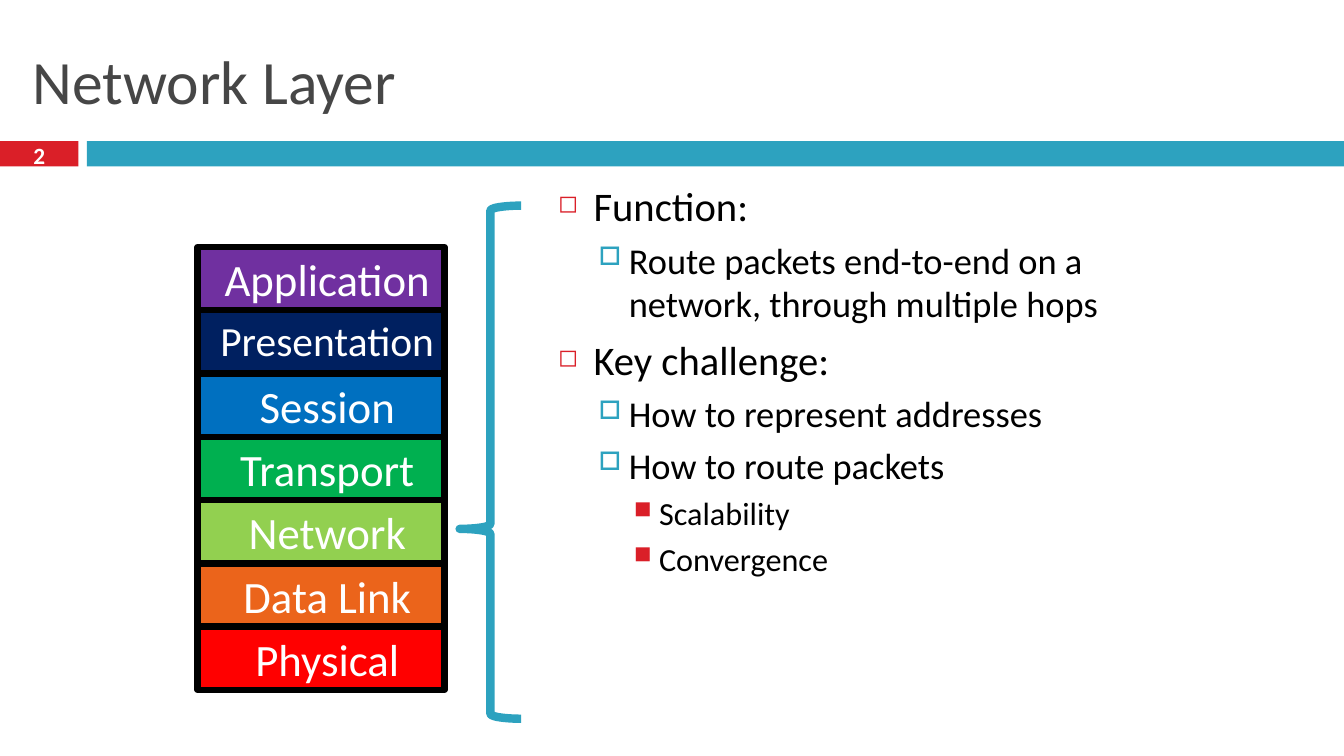
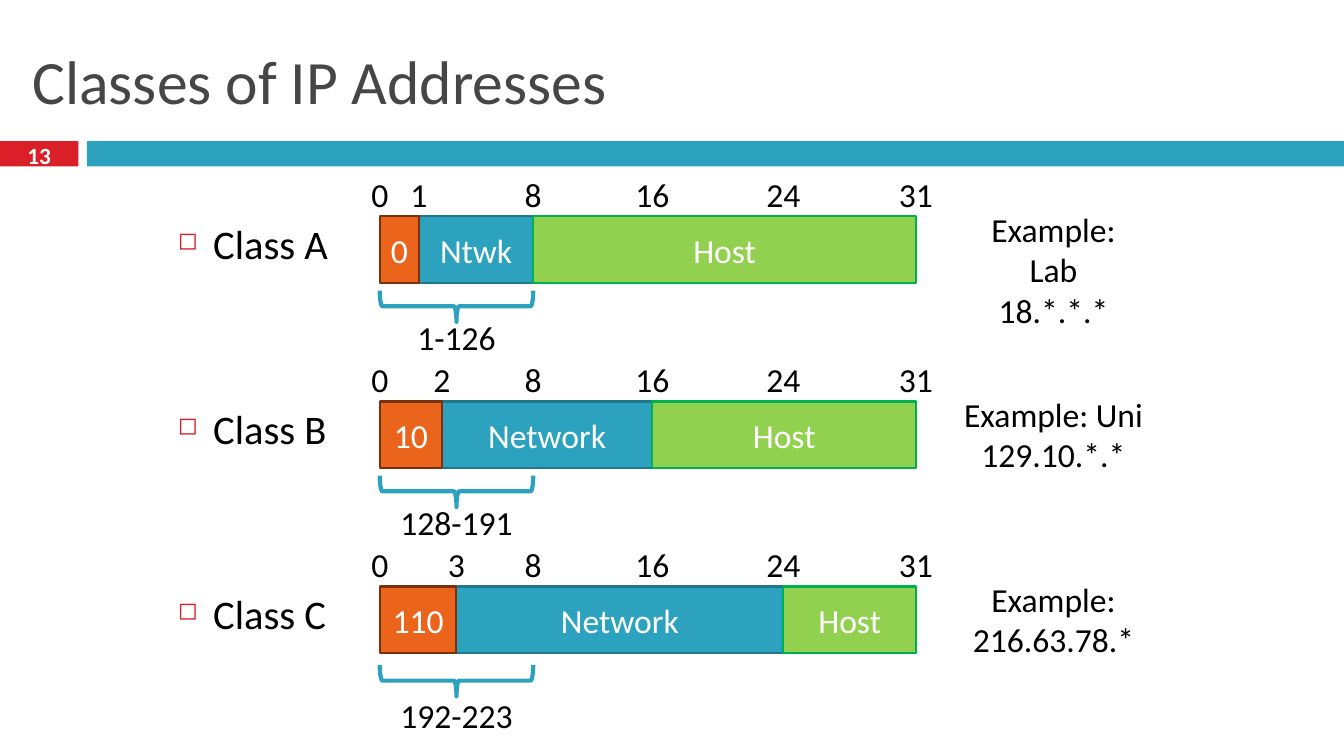
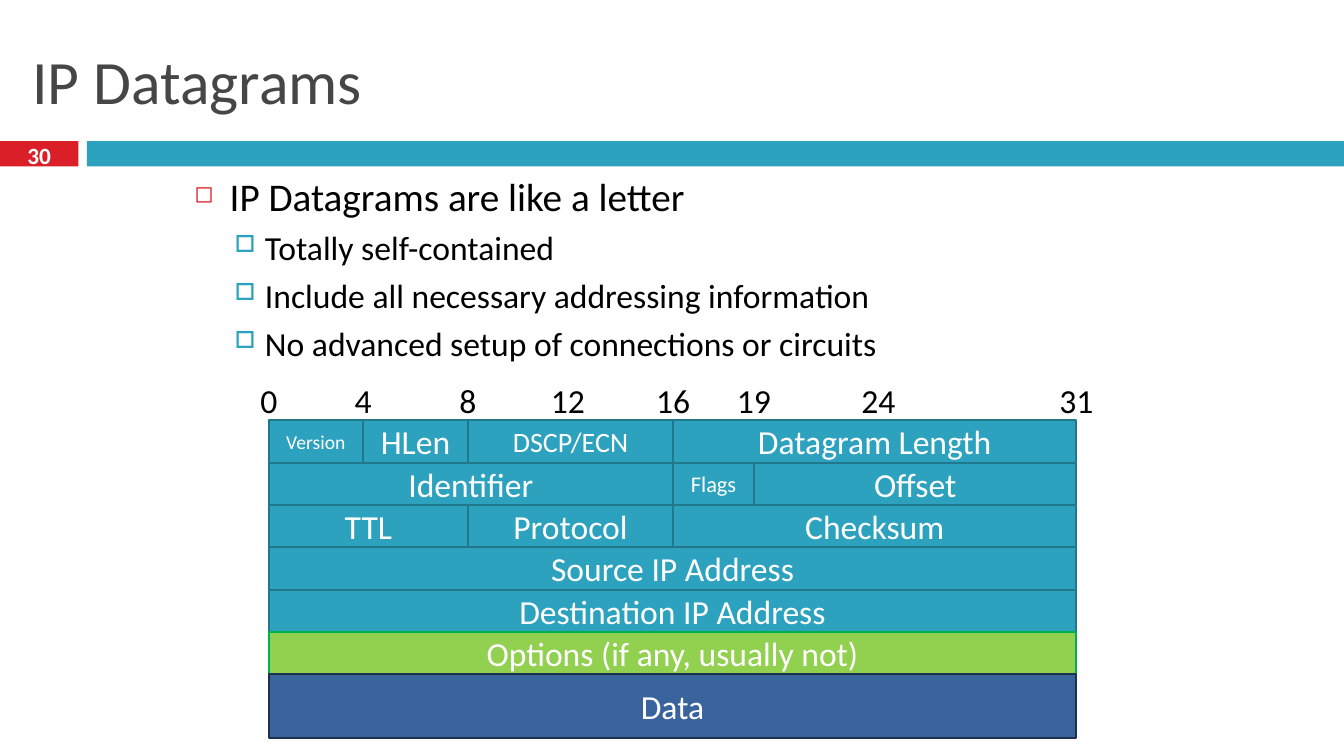
from dataclasses import dataclass

from lxml import etree
from pptx import Presentation
from pptx.dml.color import RGBColor
from pptx.enum import shapes, text
from pptx.oxml import ns
from pptx.util import Pt


@dataclass(frozen=True)
class Theme:
    font: str = "Calibri"
    title: str = "464646"
    body: str = "000000"
    light: str = "FFFFFF"
    red: str = "DA1F28"
    teal: str = "2DA2BF"
    # Fill, line and line width of a box
    teal_box: tuple = ("2DA2BF", "21788D", 1.5)
    green_box: tuple = ("92D050", "00B050", 1.5)
    orange_box: tuple = ("EB641B", "78310B", 1.5)
    blue_box: tuple = ("39639D", "1C314E", 1.5)
    layers: tuple = ("7030A0", "002060", "0070C0", "00B050", "92D050", "EB641B", "FF0000")
    layer_line: str = "000000"
    title_size: float = 44
    layer_size: float = 32
    long_layer_size: float = 29.6
    label_size: float = 24
    number_size: float = 16.6
    # Sizes of the outline levels
    outline: tuple = (29, 26, 23)
    small_outline: tuple = (28, 24)


THEME = Theme()
RECT = shapes.MSO_SHAPE.RECTANGLE
BRACE = shapes.MSO_SHAPE.LEFT_BRACE
MIDDLE = text.MSO_ANCHOR.MIDDLE
TOP = text.MSO_ANCHOR.TOP
# Left margin, hanging indent, space before, bullet, bullet colour, bullet percent
LEVELS = [
    (25.2, 25.2, 7, "◻", THEME.red, 60),
    (50.4, 21.6, 5.5, "□", THEME.teal, 70),
    (72, 18, 5, "■", THEME.red, 75),
]


def add_box(slide, frame, lines=(), box=(None, None, 0), kind=RECT,
            size=THEME.label_size, color=THEME.light, anchor=MIDDLE):
    """Add a preset shape with centred text; box is its fill, line and line width."""
    shape = slide.shapes.add_shape(kind, *map(Pt, frame))
    shape.shadow.inherit = False
    fill, line, weight = box
    for part, part_color in ((shape.fill, fill), (shape.line.fill, line)):
        if part_color:
            part.solid()
            part.fore_color.rgb = RGBColor.from_string(part_color)
        else:
            part.background()
    if line:
        shape.line.width = Pt(weight)
    if lines:
        shape.text_frame.text = "\n".join(lines)
        shape.text_frame.word_wrap = True
        shape.text_frame.vertical_anchor = anchor
        for paragraph in shape.text_frame.paragraphs:
            paragraph.alignment = text.PP_ALIGN.CENTER
            font = paragraph.runs[0].font
            font.name, font.size = THEME.font, Pt(size)
            font.color.rgb = RGBColor.from_string(color)
    return shape


def add_outline(slide, frame, items, sizes=THEME.outline):
    """Add a bulleted text box; items are (level, wording) pairs."""
    text_frame = slide.shapes.add_textbox(*map(Pt, frame)).text_frame
    text_frame.word_wrap = True
    text_frame.text = "\n".join(wording for level, wording in items)
    for paragraph, (level, wording) in zip(text_frame.paragraphs, items):
        margin, hanging, before, bullet, bullet_color, percent = LEVELS[level]
        paragraph.level = level
        paragraph.space_before = Pt(before)
        font = paragraph.runs[0].font
        font.name, font.size = THEME.font, Pt(sizes[level])
        font.color.rgb = RGBColor.from_string(THEME.body)
        properties = paragraph._p.get_or_add_pPr()
        properties.set("marL", str(Pt(margin)))
        properties.set("indent", str(-Pt(hanging)))
        bullet_fill = etree.SubElement(properties, ns.qn("a:buClr"))
        etree.SubElement(bullet_fill, ns.qn("a:srgbClr"), val=bullet_color)
        etree.SubElement(properties, ns.qn("a:buSzPct"), val=str(percent * 1000))
        etree.SubElement(properties, ns.qn("a:buChar"), char=bullet)


deck = Presentation()
deck.slide_width, deck.slide_height = Pt(960), Pt(540)

# Titles, bands and slide numbers
slides = []
for heading, number in (("Network Layer", "2"), ("Classes of IP Addresses", "13"),
                        ("IP Datagrams", "30")):
    slide = deck.slides.add_slide(deck.slide_layouts[5])
    title = slide.shapes.title
    title.left, title.top, title.width, title.height = map(Pt, (16, 18, 928, 78))
    title.text_frame.text = heading
    title.text_frame.vertical_anchor = MIDDLE
    title.text_frame.paragraphs[0].alignment = text.PP_ALIGN.LEFT
    title_font = title.text_frame.paragraphs[0].runs[0].font
    title_font.name, title_font.size = THEME.font, Pt(THEME.title_size)
    title_font.color.rgb = RGBColor.from_string(THEME.title)
    add_box(slide, (0, 100.8, 56, 18), box=(THEME.red, None, 0))
    add_box(slide, (62, 100.8, 898, 18), box=(THEME.teal, None, 0))
    page = add_box(slide, (0, 98.8, 56, 23.8), [number], size=THEME.number_size)
    page.text_frame.paragraphs[0].runs[0].font.bold = True
    slides.append(slide)
layer_slide, class_slide, datagram_slide = slides

# Network Layer
add_outline(layer_slide, (391.7, 126, 436.3, 402), [
    (0, "Function:"),
    (1, "Route packets end-to-end on a network, through multiple hops"),
    (0, "Key challenge:"),
    (1, "How to represent addresses"),
    (1, "How to route packets"),
    (2, "Scalability"),
    (2, "Convergence"),
])
layer_names = ("Application", "Presentation", "Session", "Transport", "Network",
               "Data Link", "Physical")
layer_height = 45.2
for row, (name, layer_fill) in enumerate(zip(layer_names, THEME.layers)):
    layer = add_box(
        layer_slide, (141.1, 176.4 + row * layer_height, 176.4, layer_height), [name],
        (layer_fill, THEME.layer_line, 4.5), anchor=TOP,
        size=THEME.long_layer_size if name == "Presentation" else THEME.layer_size)
    layer.text_frame.margin_left, layer.text_frame.margin_right = Pt(9), Pt(0)
layer_brace = add_box(layer_slide, (328.3, 146.9, 43.9, 366.5),
                      box=(None, THEME.teal, 6), kind=BRACE)
layer_brace.adjustments[0], layer_brace.adjustments[1] = 0.08, 0.63

# Classes of IP Addresses
tick_size = 47
class_bit_x = {0: 271.3, 1: 299.3, 2: 315.6, 3: 326, 8: 380.9, 16: 466, 24: 559.6, 31: 654.3}
# Class, prefix, prefix end, network end, network name, range, example, brace and range gaps
address_classes = [
    ("Class A", "0", 1, 8, "Ntwk", "1-126", ("Example:", "Lab", "18.*.*.*"), 53, 68),
    ("Class B", "10", 2, 16, "Network", "128-191", ("Example: Uni", "129.10.*.*"), 53, 68),
    ("Class C", "110", 3, 24, "Network", "192-223", ("Example:", "216.63.78.*"), 56, 73.5),
]
for row, (name, prefix, split, network_end, network, first_byte, example,
          brace_gap, range_gap) in enumerate(address_classes):
    top = 154.6 + row * 132.2
    add_outline(class_slide, (120, top - 2, 145.4, 42.5), [(0, name)])
    for field, start, end, box in ((network, split, network_end, THEME.teal_box),
                                   ("Host", network_end, 31, THEME.green_box),
                                   (prefix, 0, split, THEME.orange_box)):
        left = class_bit_x[start]
        segment = add_box(class_slide, (left, top, class_bit_x[end] - left, 47.5), [field], box)
        segment.text_frame.margin_left = segment.text_frame.margin_right = Pt(0)
    for bit in (0, split, 8, 16, 24, 31):
        add_box(class_slide,
                (class_bit_x[bit] - tick_size / 2, top - 39.5, tick_size, tick_size),
                [str(bit)], color=THEME.body)
    byte_width, brace_depth = class_bit_x[8] - class_bit_x[0], 22.3
    byte_middle = class_bit_x[0] + byte_width / 2
    # The brace is turned about its centre to lie below the first byte
    brace = add_box(
        class_slide,
        (byte_middle - brace_depth / 2, top + brace_gap + (brace_depth - byte_width) / 2,
         brace_depth, byte_width),
        box=(None, THEME.teal, 3), kind=BRACE)
    brace.rotation = 270
    add_box(class_slide, (byte_middle - 52, top + range_gap, 104, 36), [first_byte],
            color=THEME.body, anchor=TOP)
    add_box(class_slide, (677.5, top - 9, 150, 65.5), example, color=THEME.body, anchor=TOP)

# IP Datagrams
add_outline(datagram_slide, (131.8, 119.5, 696.2, 162), [
    (0, "IP Datagrams are like a letter"),
    (1, "Totally self-contained"),
    (1, "Include all necessary addressing information"),
    (1, "No advanced setup of connections or circuits"),
], THEME.small_outline)
header_top, header_row = 300.2, 30.24
header_bit_x = {0: 192, 4: 259.4, 8: 334.3, 12: 405.7, 16: 480.8, 19: 538.6, 24: 627.5, 31: 768.8}
for bit, x in header_bit_x.items():
    add_box(datagram_slide, (x - tick_size / 2, header_top - 38.2, tick_size, tick_size),
            [str(bit)], color=THEME.body)
# Rows of fields: name, first bit, end bit, type size
header_fields = [
    [("Version", 0, 4, 14), ("HLen", 4, 8, 24), ("DSCP/ECN", 8, 16, 20),
     ("Datagram Length", 16, 31, 24)],
    [("Identifier", 0, 16, 24), ("Flags", 16, 19, 16), ("Offset", 19, 31, 24)],
    [("TTL", 0, 8, 24), ("Protocol", 8, 16, 24), ("Checksum", 16, 31, 24)],
    [("Source IP Address", 0, 31, 24)],
    [("Destination IP Address", 0, 31, 24)],
    [("Options (if any, usually not)", 0, 31, 24)],
    [("Data", 0, 31, 24)],
]
special_boxes = {5: THEME.green_box, 6: THEME.blue_box}
for row, fields in enumerate(header_fields):
    height = header_row * 1.5 if fields[0][0] == "Data" else header_row
    for name, start, end, size in fields:
        left = header_bit_x[start]
        add_box(datagram_slide,
                (left, header_top + row * header_row, header_bit_x[end] - left, height),
                [name], special_boxes.get(row, THEME.teal_box), size=size)

deck.save("out.pptx")
